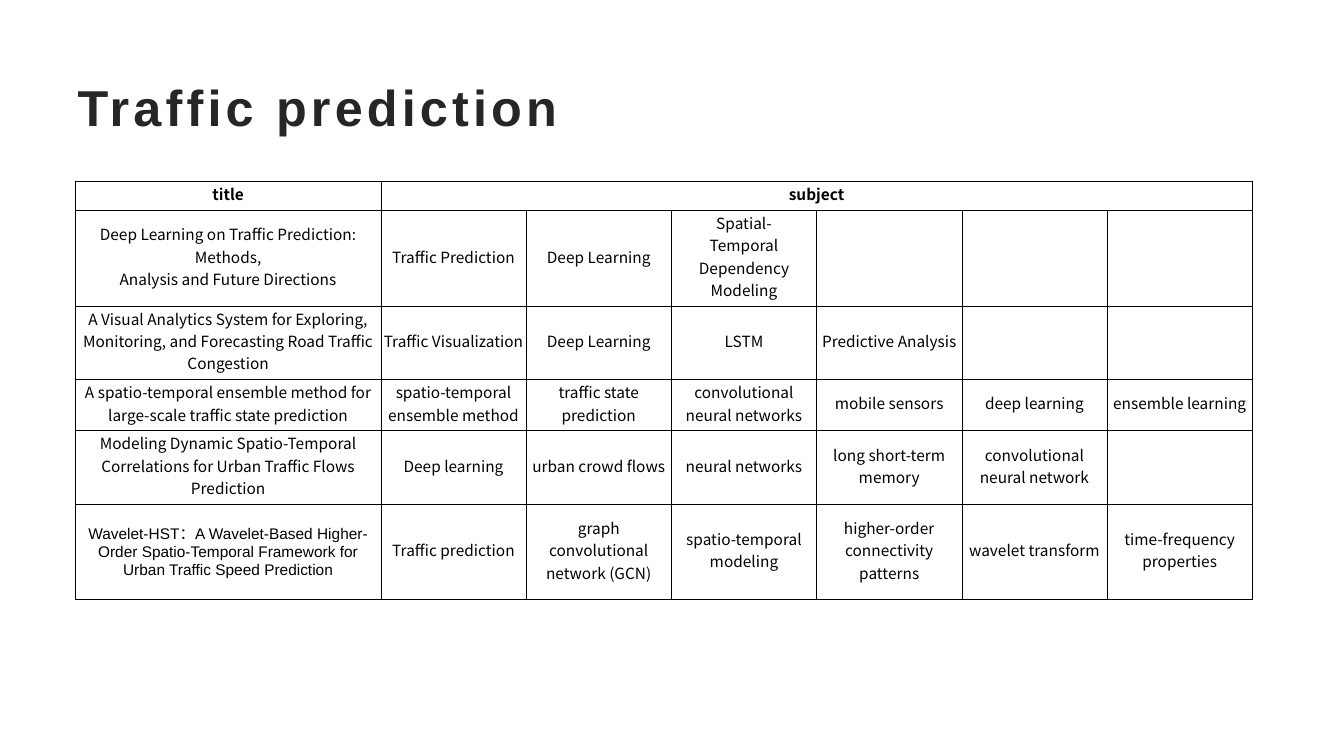
import pptx
import pptx.util
import pptx.dml.color
import pptx.enum.text
import pptx.oxml
import pptx.oxml.ns
from lxml import etree
from dataclasses import dataclass

Cm, Pt = pptx.util.Cm, pptx.util.Pt

# Content: each paper has its title paragraphs, its subjects and its height in text lines
HEADING = "Traffic prediction"
HEADERS = ("title", "subject")
PAPERS = [
    (["Deep Learning on Traffic Prediction: Methods,", "Analysis and Future Directions"],
     ["Traffic Prediction", "Deep Learning", ["Spatial-", "Temporal Dependency Modeling"]], 4),
    (["A Visual Analytics System for Exploring,", "Monitoring, and Forecasting Road Traffic",
      "Congestion"],
     ["Traffic Visualization", "Deep Learning", "LSTM", "Predictive Analysis"], 3),
    ("A spatio-temporal ensemble method for large-scale traffic state prediction",
     ["spatio-temporal ensemble method", "traffic state prediction",
      "convolutional neural networks", "mobile sensors", "deep learning",
      "ensemble learning"], 2),
    ("Modeling Dynamic Spatio-Temporal Correlations for Urban Traffic Flows Prediction",
     ["Deep learning", "urban crowd flows", "neural networks", "long short-term memory",
      "convolutional neural network"], 3),
    ("Wavelet-HST：A Wavelet-Based Higher-Order Spatio-Temporal Framework for "
     "Urban Traffic Speed Prediction",
     ["Traffic prediction", "graph convolutional network (GCN)", "spatio-temporal modeling",
      "higher-order connectivity patterns", "wavelet transform",
      "time-frequency properties"], 4),
]


@dataclass(frozen=True)
class Theme:
    latin: str = "Arial"
    text: str = "Noto Sans CJK SC"
    heading_color: str = "262626"
    ink: str = "000000"
    heading_size: int = 36
    cell_size: int = 11
    border: float = 0.5


THEME = Theme()

# Layout rules, in centimetres
SUBJECT_COLUMNS = max(len(subjects) for _, subjects, _ in PAPERS)
TITLE_WIDTH, SUBJECT_WIDTH = 7.7, 3.66
LINE_HEIGHT, ROW_PADDING = 0.56, 0.17
widths = [TITLE_WIDTH] + [SUBJECT_WIDTH] * SUBJECT_COLUMNS
heights = [LINE_HEIGHT * lines + ROW_PADDING for lines in [1] + [paper[2] for paper in PAPERS]]


def add_span(para, text, size, color, font, bold):
    span = para.add_run()
    span.text = text
    span.font.size = Pt(size)
    span.font.bold = bold
    span.font.color.rgb = pptx.dml.color.RGBColor.from_string(color)
    span.font.name = font
    properties = span.font._element
    etree.SubElement(properties, pptx.oxml.ns.qn("a:ea"), typeface=THEME.text)
    return properties


def format_cell(cell):
    cell.margin_left = cell.margin_right = cell.margin_top = Cm(0.03)
    cell.margin_bottom = Cm(0.13)
    cell.vertical_anchor = pptx.enum.text.MSO_ANCHOR.MIDDLE
    cell.fill.background()
    properties = cell._tc.get_or_add_tcPr()
    for index, side in enumerate(("lnL", "lnR", "lnT", "lnB")):
        properties.insert(index, pptx.oxml.parse_xml(
            f'<a:{side} {pptx.oxml.ns.nsdecls("a")} w="{Pt(THEME.border)}">'
            f'<a:solidFill><a:srgbClr val="{THEME.ink}"/></a:solidFill></a:{side}>'))


def fill_cell(cell, content, font=THEME.text, bold=False):
    lines = [content] if isinstance(content, str) else content
    frame = cell.text_frame
    for index, line in enumerate(lines):
        para = frame.add_paragraph() if index else frame.paragraphs[0]
        para.alignment = pptx.enum.text.PP_ALIGN.CENTER
        add_span(para, line, THEME.cell_size, THEME.ink, font, bold)


# Deck and page
deck = pptx.Presentation()
deck.slide_width, deck.slide_height = Cm(33.87), Cm(19.05)
page = deck.slides.add_slide(deck.slide_layouts.get_by_name("Title Only"))

# Heading
box = page.shapes.title
box.left, box.top, box.width, box.height = Cm(1.7), Cm(1.7), Cm(30.48), Cm(1.96)
frame = box.text_frame
frame.auto_size = pptx.enum.text.MSO_AUTO_SIZE.NONE
frame.vertical_anchor = pptx.enum.text.MSO_ANCHOR.MIDDLE
heading = frame.paragraphs[0]
heading.alignment = pptx.enum.text.PP_ALIGN.LEFT
add_span(heading, HEADING, THEME.heading_size, THEME.heading_color,
         THEME.latin, True).set("spc", "300")

# Table grid
table = page.shapes.add_table(len(heights), len(widths), Cm(1.9), Cm(4.57),
                              Cm(sum(widths)), Cm(sum(heights))).table
table.first_row = table.horz_banding = False
for column, width in zip(table.columns, widths):
    column.width = Cm(width)
for row, height in zip(table.rows, heights):
    row.height = Cm(height)
for cell in table.iter_cells():
    format_cell(cell)

# Header row, with one header over all subject columns
table.cell(0, 1).merge(table.cell(0, SUBJECT_COLUMNS))
for column, header in enumerate(HEADERS):
    fill_cell(table.cell(0, column), header, bold=True)

# Papers; the last title is set in the heading font
for row, (title, subjects, _) in enumerate(PAPERS, start=1):
    fill_cell(table.cell(row, 0), title, THEME.latin if row == len(PAPERS) else THEME.text)
    for column, subject in enumerate(subjects, start=1):
        fill_cell(table.cell(row, column), subject)

deck.save("out.pptx")
